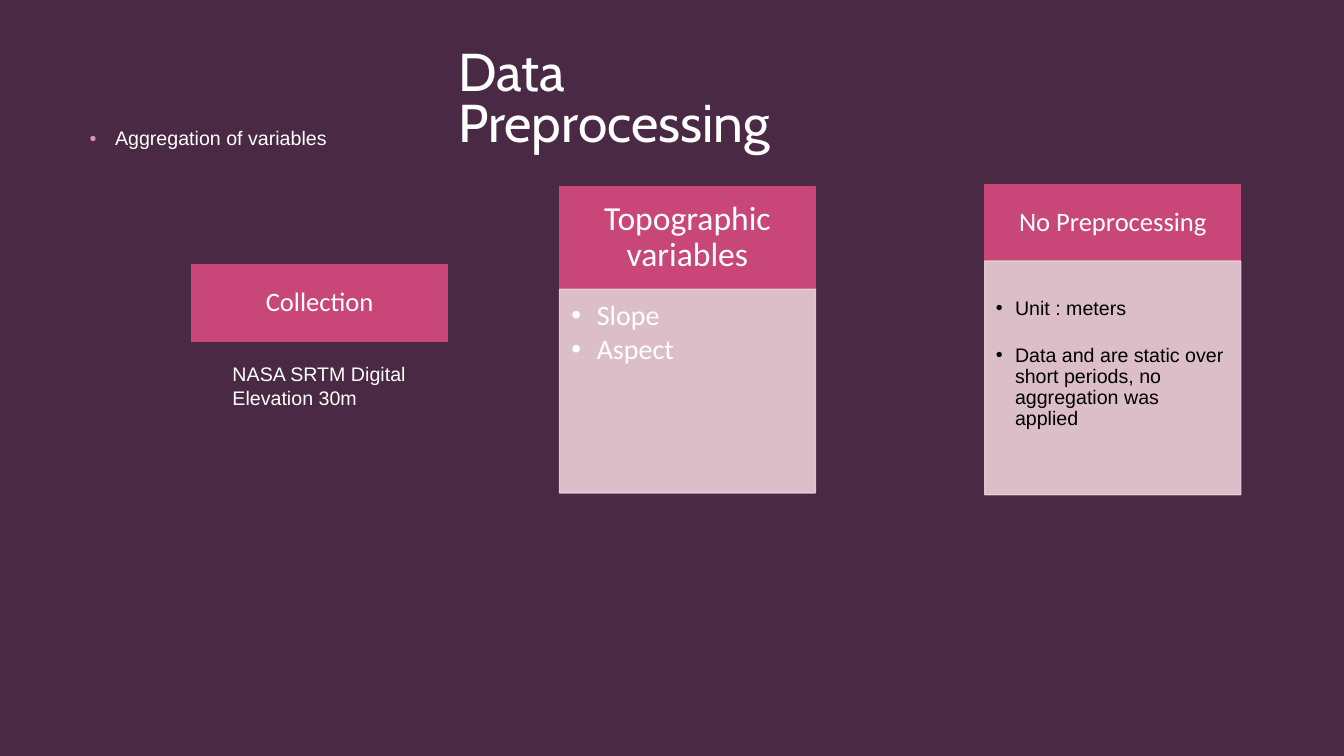
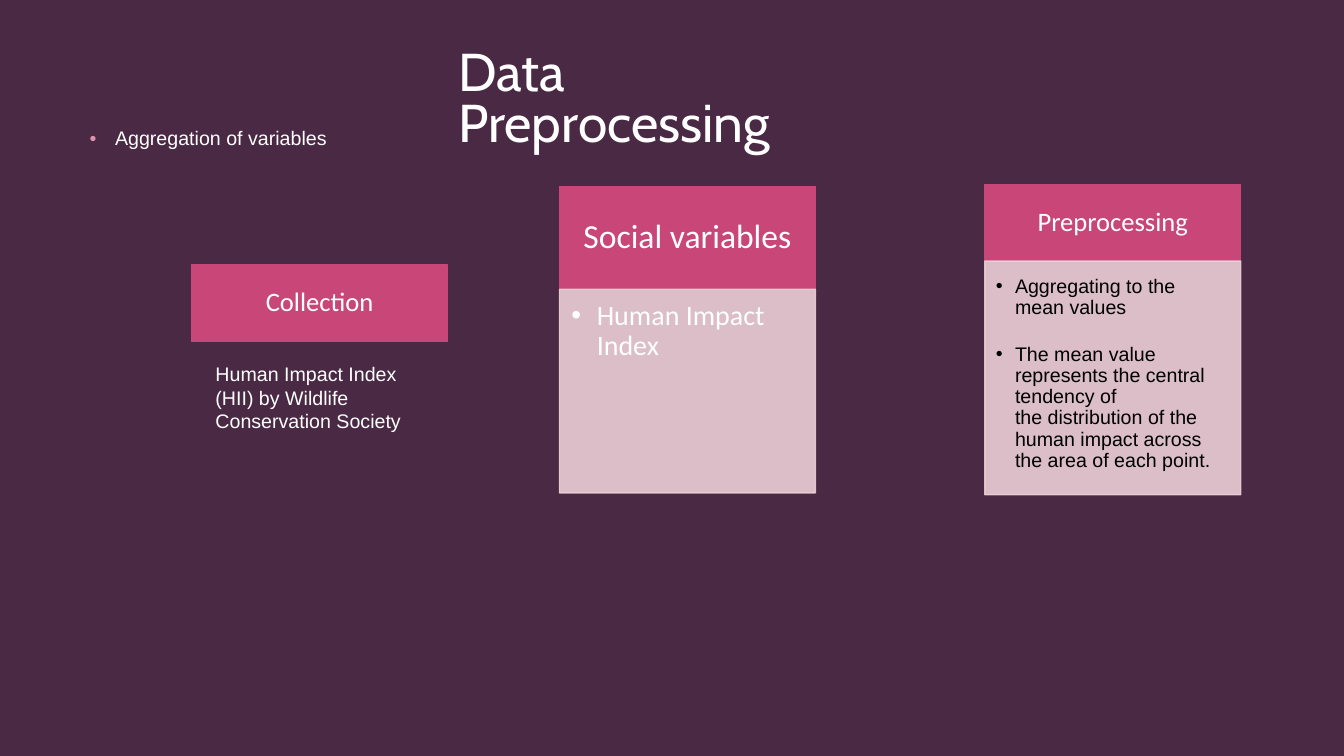
from pptx import Presentation
from pptx.dml.color import RGBColor
from pptx.enum.shapes import MSO_SHAPE as Shape
from pptx.enum.text import MSO_ANCHOR as Anchor, PP_ALIGN as Align
from pptx.oxml.ns import qn
from pptx.util import Cm, Pt
from lxml.etree import SubElement

PLUM, DARK_PLUM = "4C2B46", "301B2C"
ROSE, BLUSH, PINK = "C94778", "EBCFD6", "DF91AE"
WHITE, BLACK = "FFFFFF", "000000"
COLUMN_WIDTH = 6.45
COLLECTION_LEFT, VARIABLES_LEFT, METHOD_LEFT = 4.83, 14.1, 24.82


def paint(fill, color, opacity=100):
    fill.solid()
    fill.fore_color.rgb = RGBColor.from_string(color)
    if opacity < 100:
        for choice in fill._xPr.iter(qn("a:srgbClr")):
            SubElement(choice, qn("a:alpha"), val=str(opacity * 1000))


def add_box(page, area, lines, size, font="Arial", ink=WHITE, fill=None, opacity=100,
            margins=(0.25, 0.13, 0.25, 0.13), spacing=0.9, gap=0, indent=0, bullet_color=None):
    area = [Cm(value) for value in area]
    if fill:
        box = page.shapes.add_shape(Shape.RECTANGLE, *area)
        box.shadow.inherit = False
        paint(box.fill, fill, opacity)
        paint(box.line.fill, fill, opacity)
        box.line.width = Pt(1)
    else:
        box = page.shapes.add_textbox(*area)
    frame = box.text_frame
    frame.word_wrap = True
    frame.margin_left, frame.margin_top, frame.margin_right, frame.margin_bottom = map(Cm, margins)
    centred = fill and not indent
    frame.vertical_anchor = Anchor.MIDDLE if centred else Anchor.TOP
    frame.text = "\n".join(lines)
    for number, para in enumerate(frame.paragraphs):
        para.alignment = Align.CENTER if centred else Align.LEFT
        para.line_spacing = spacing
        if number:
            para.space_before = Pt(gap)
        if indent:
            layout = para._p.get_or_add_pPr()
            layout.set("marL", str(Cm(indent)))
            layout.set("indent", str(-Cm(indent)))
            if bullet_color:
                SubElement(SubElement(layout, qn("a:buClr")), qn("a:srgbClr"), val=bullet_color)
            SubElement(layout, qn("a:buFont"), typeface="Arial")
            SubElement(layout, qn("a:buChar"), char="•")
        for span in para.runs:
            span.font.name = font
            span.font.size = Pt(size)
            paint(span.font.fill, ink)


deck = Presentation()
deck.slide_width, deck.slide_height = Cm(33.87), Cm(19.05)
master = deck.slide_master
paint(master.background.fill, DARK_PLUM)

topics = [
    {
        "variables": "Topographic variables",
        "items": ["Slope", "Aspect"],
        "source": "NASA SRTM Digital Elevation 30m",
        "source_area": (5.61, 8.99, 4.93, 1.45),
        "method": "No Preprocessing",
        "steps": [
            "Unit : meters",
            "Data and are static over short periods, no aggregation was applied",
        ],
        "steps_margin": 0.94,
    },
    {
        "variables": "Social variables",
        "items": ["Human Impact Index"],
        "source": "Human Impact Index (HII) by Wildlife Conservation Society",
        "source_area": (5.18, 8.99, 6.12, 2.06),
        "method": "Preprocessing",
        "steps": [
            "Aggregating to the mean values",
            "The mean value represents the central tendency of\v"
            "the distribution of the human impact across the area of each point.",
        ],
        "steps_margin": 0.38,
    },
]

for number, topic in enumerate(topics):
    page = deck.slides.add_slide(deck.slide_layouts[6])
    if number == 0:
        veil = page.shapes.add_shape(Shape.RECTANGLE, 0, 0, deck.slide_width, deck.slide_height)
        veil.shadow.inherit = False
        paint(veil.fill, PLUM, 90)
        veil.line.fill.background()
        master.shapes.element.insert(2, veil.element)

    headings = [
        (VARIABLES_LEFT, 4.7, 2.59, topic["variables"], 24),
        (COLLECTION_LEFT, 6.68, 1.93, "Collection", 19),
        (METHOD_LEFT, 4.65, 1.93, topic["method"], 19),
    ]
    for left, top, height, heading, size in headings:
        add_box(page, (left, top, COLUMN_WIDTH, height), [heading], size, "Calibri",
                fill=ROSE, margins=(0.4, 0.2, 0.4, 0.2))

    add_box(page, (VARIABLES_LEFT, 7.29, COLUMN_WIDTH, 5.13), topic["items"], 20, "Calibri",
            fill=BLUSH, opacity=90, margins=(0.3, 0.3, 0.4, 0.43), gap=3, indent=0.64)
    add_box(page, (METHOD_LEFT, 6.58, COLUMN_WIDTH, 5.89), topic["steps"], 14, ink=BLACK,
            fill=BLUSH, opacity=90, margins=(0.28, topic["steps_margin"], 0.38, 0.43),
            gap=18.4, indent=0.48)
    add_box(page, (11.3, 1.14, 11.28, 1.63), ["Data Preprocessing"], 38, "Cabin", spacing=0.8)
    add_box(page, topic["source_area"], [topic["source"]], 14, spacing=1)
    add_box(page, (2.01, 3.12, 6.7, 1.07), ["Aggregation of variables"], 14,
            indent=0.64, bullet_color=PINK)

deck.save("out.pptx")
